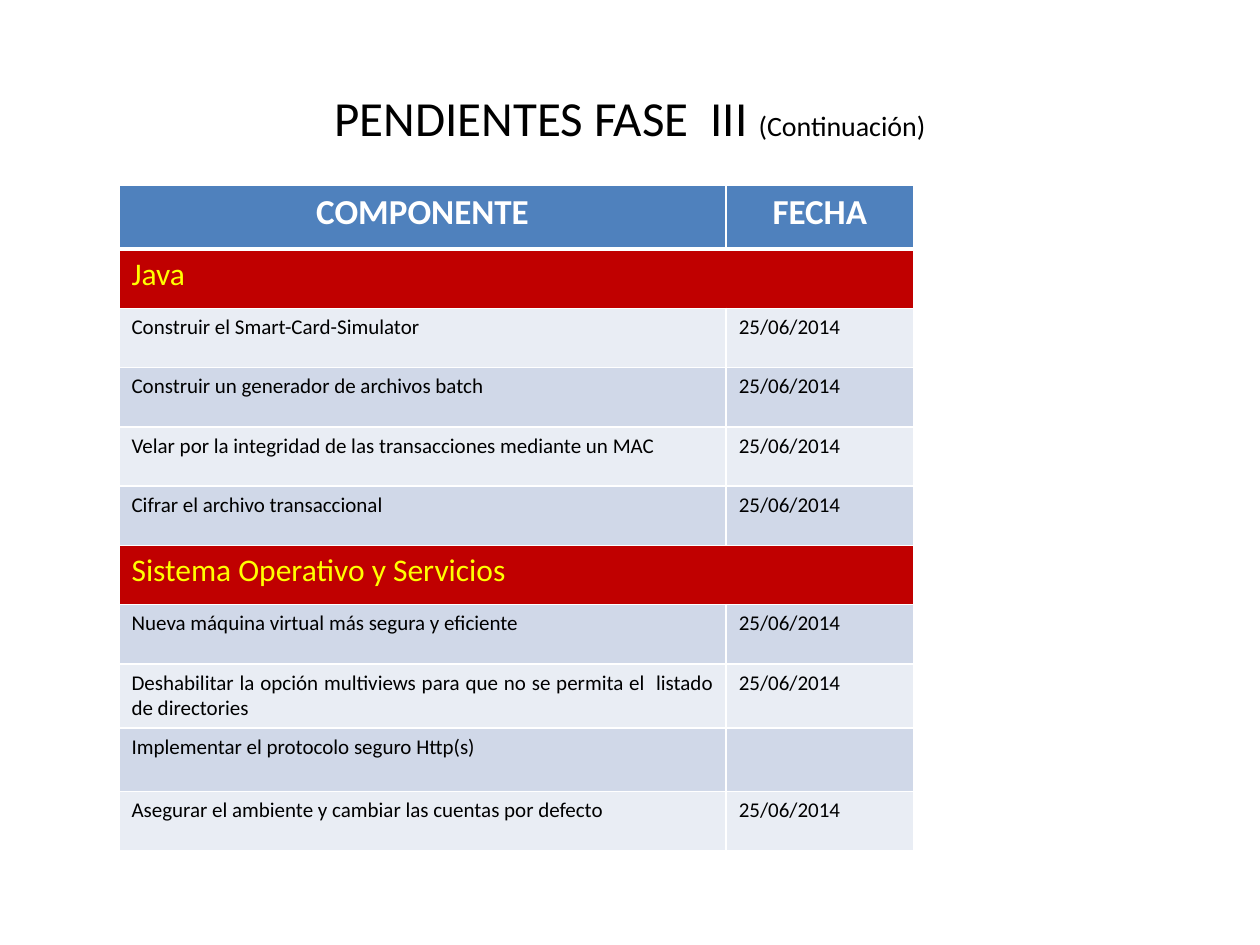
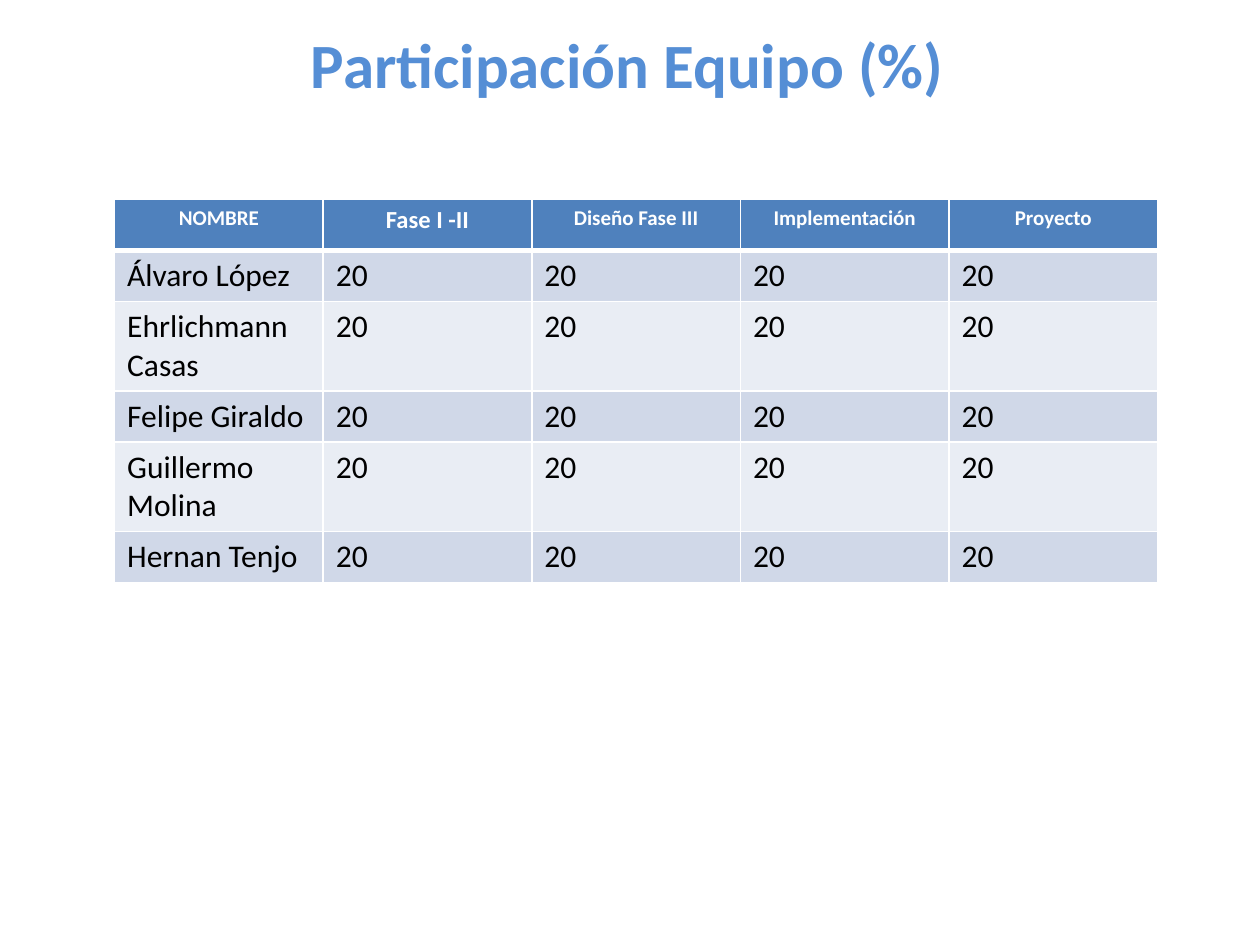
from pptx import Presentation
from pptx.dml.color import RGBColor
from pptx.enum.text import MSO_ANCHOR, MSO_AUTO_SIZE, PP_ALIGN
from pptx.oxml.ns import qn
from pptx.util import Pt
from lxml.etree import SubElement

WHITE = RGBColor(0xFF, 0xFF, 0xFF)
BLACK = RGBColor(0x00, 0x00, 0x00)
HEADER_BLUE = RGBColor(0x4F, 0x81, 0xBD)
TITLE_BLUE = RGBColor(0x55, 0x8E, 0xD5)
SECTION_RED = RGBColor(0xC0, 0x00, 0x00)
SECTION_YELLOW = RGBColor(0xFF, 0xFF, 0x00)
BANDS = (RGBColor(0xE9, 0xED, 0xF4), RGBColor(0xD0, 0xD8, 0xE8))

DELIVERY = "25/06/2014"
PENDING = [
    ("Java",),
    ("Construir el Smart-Card-Simulator", DELIVERY),
    ("Construir un generador de archivos batch", DELIVERY),
    ("Velar por la integridad de las transacciones mediante un MAC", DELIVERY),
    ("Cifrar el archivo transaccional", DELIVERY),
    ("Sistema Operativo y Servicios",),
    ("Nueva máquina virtual más segura y eficiente", DELIVERY),
    ("Deshabilitar la opción multiviews para que no se permita el  listado de directories", DELIVERY),
    ("Implementar el protocolo seguro Http(s)", ""),
    ("Asegurar el ambiente y cambiar las cuentas por defecto", DELIVERY),
]
MEMBERS = ["Álvaro López", "Ehrlichmann Casas", "Felipe Giraldo", "Guillermo Molina", "Hernan Tenjo"]
PHASES = ["Fase I -II", "Diseño Fase III", "Implementación", "Proyecto"]


class Deck:
    font = "Calibri"

    def __init__(self):
        self.presentation = Presentation()
        self.presentation.slide_width = Pt(720)
        self.presentation.slide_height = Pt(540)
        self.slide = None

    def new_slide(self):
        self.slide = self.presentation.slides.add_slide(self.presentation.slide_layouts[5])

    def style(self, run, size, color, bold=False):
        run.font.name = self.font
        run.font.size = Pt(size)
        run.font.bold = bold
        run.font.color.rgb = color

    def title(self, box, parts, color, bold=False):
        heading = self.slide.shapes.title
        heading.left, heading.top, heading.width, heading.height = map(Pt, box)
        frame = heading.text_frame
        frame.auto_size = MSO_AUTO_SIZE.NONE
        frame.vertical_anchor = MSO_ANCHOR.MIDDLE
        line = frame.paragraphs[0]
        line.alignment = PP_ALIGN.CENTER
        for text, size in parts:
            run = line.add_run()
            run.text = text
            self.style(run, size, color, bold)

    def borders(self, cell, bottom):
        properties = cell._tc.get_or_add_tcPr()
        for side, width in (("L", 1), ("R", 1), ("T", 1), ("B", bottom)):
            edge = SubElement(properties, qn(f"a:ln{side}"), w=str(Pt(width)))
            SubElement(SubElement(edge, qn("a:solidFill")), qn("a:srgbClr"), val=str(WHITE))

    def cell(self, cell, text, fill, size, color=BLACK, bold=False, align=PP_ALIGN.LEFT, bottom=1):
        self.borders(cell, bottom)
        cell.fill.solid()
        cell.fill.fore_color.rgb = fill
        line = cell.text_frame.paragraphs[0]
        line.text = text
        line.alignment = align
        for run in line.runs:
            self.style(run, size, color, bold)

    def table(self, left, top, widths, heights, headers, rows, body_size, first_align=PP_ALIGN.LEFT):
        grid = self.slide.shapes.add_table(
            len(heights), len(widths), Pt(left), Pt(top), Pt(sum(widths)), Pt(sum(heights))
        ).table
        for column, width in zip(grid.columns, widths):
            column.width = Pt(width)
        for row, height in zip(grid.rows, heights):
            row.height = Pt(height)
        for column, (text, size) in enumerate(headers):
            self.cell(grid.cell(0, column), text, HEADER_BLUE, size, WHITE, True, PP_ALIGN.CENTER, 3)
        for index, values in enumerate(rows, start=1):
            if len(values) == 1:
                section = grid.cell(index, 0)
                section.merge(grid.cell(index, len(widths) - 1))
                self.cell(section, values[0], SECTION_RED, 18, SECTION_YELLOW)
                continue
            for column, text in enumerate(values):
                align = PP_ALIGN.LEFT if column else first_align
                self.cell(grid.cell(index, column), text, BANDS[index % 2], body_size, align=align)


def main():
    deck = Deck()

    deck.new_slide()
    deck.title((36, 21.6, 648, 90), [("PENDIENTES FASE  III ", 28), ("(Continuación)", 16)], BLACK)
    deck.table(
        68, 105.8, [347, 107], [36.5] + [33.9] * 7 + [36.5] * 2 + [33.9],
        [("COMPONENTE", 20), ("FECHA", 20)], PENDING, 12, PP_ALIGN.JUSTIFY,
    )

    deck.new_slide()
    deck.title((42.5, 10.8, 632, 51), [("Participación Equipo (%)", 36)], TITLE_BLUE, True)
    deck.table(
        65.5, 113.8, [119.2] * 5, [29.2] * 6,
        [("NOMBRE", 12)] + [(phase, 14 if phase == PHASES[0] else 12) for phase in PHASES],
        [[member] + ["20"] * len(PHASES) for member in MEMBERS], 18,
    )

    deck.presentation.save("out.pptx")


if __name__ == "__main__":
    main()
